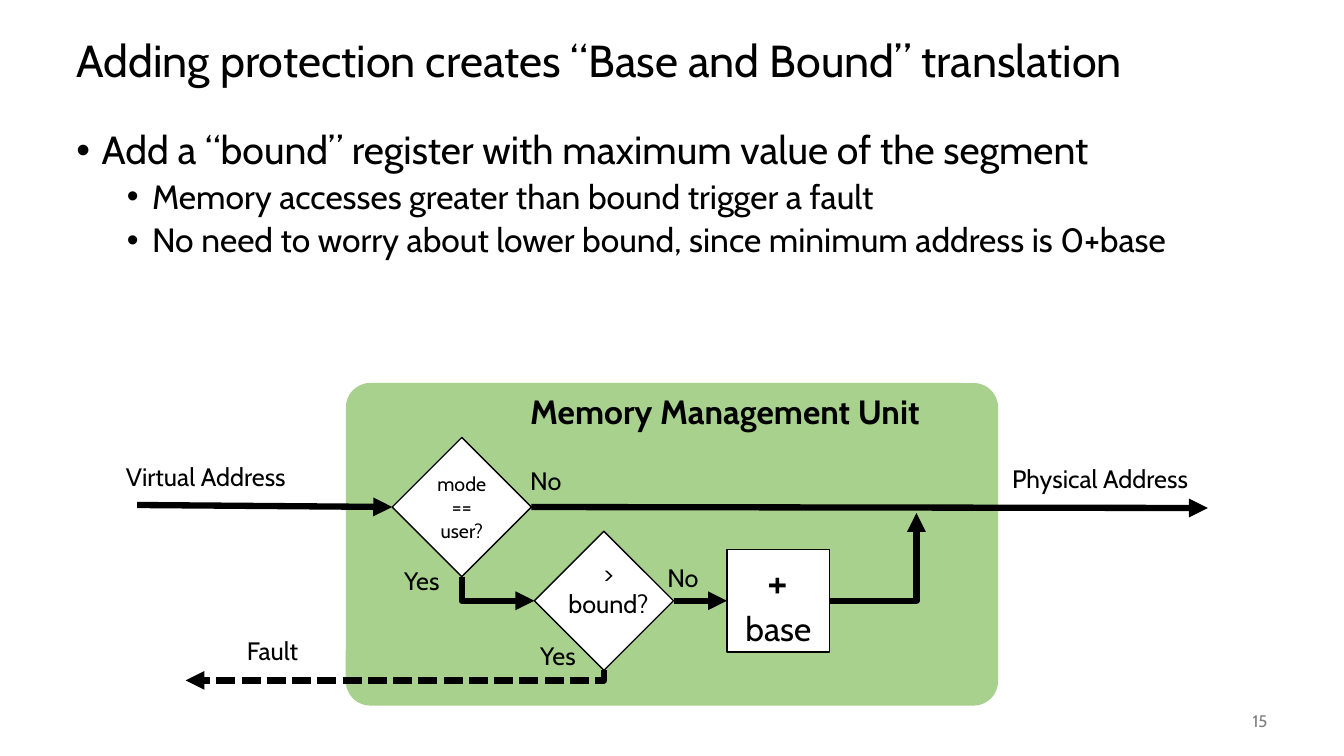
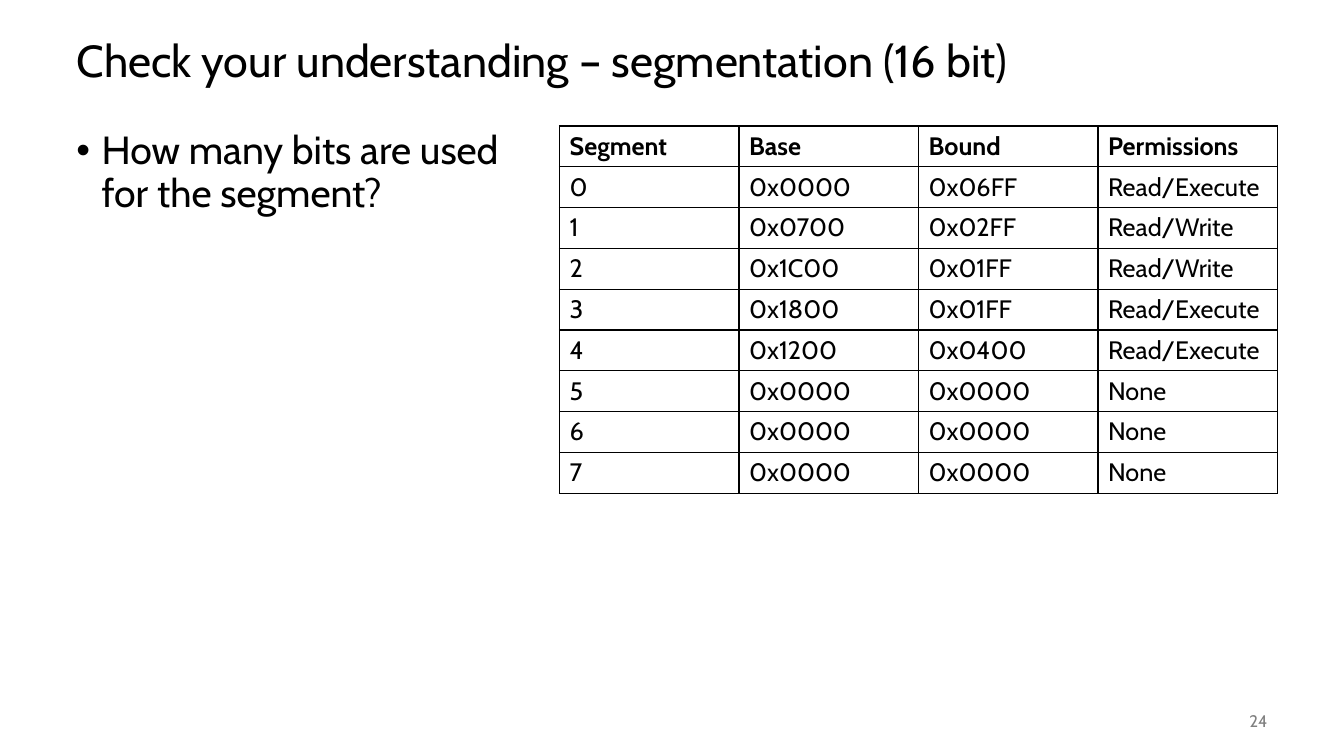
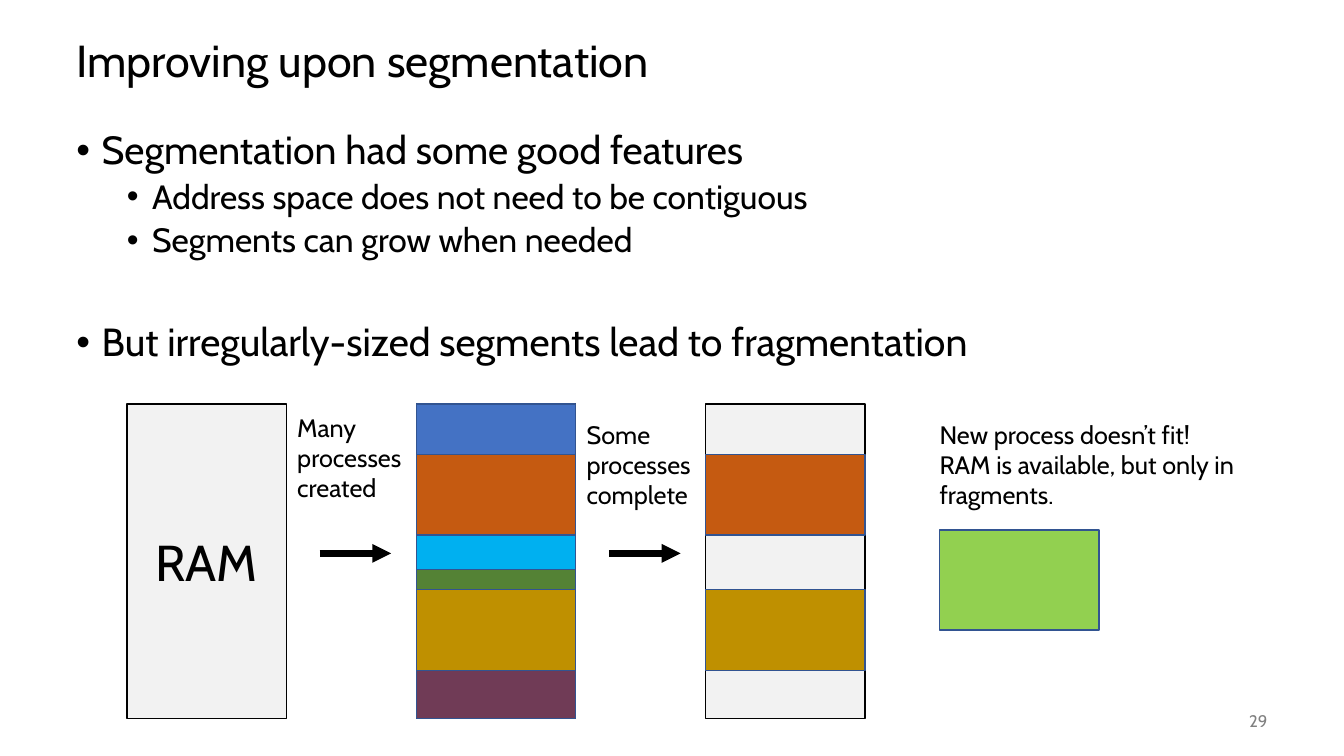
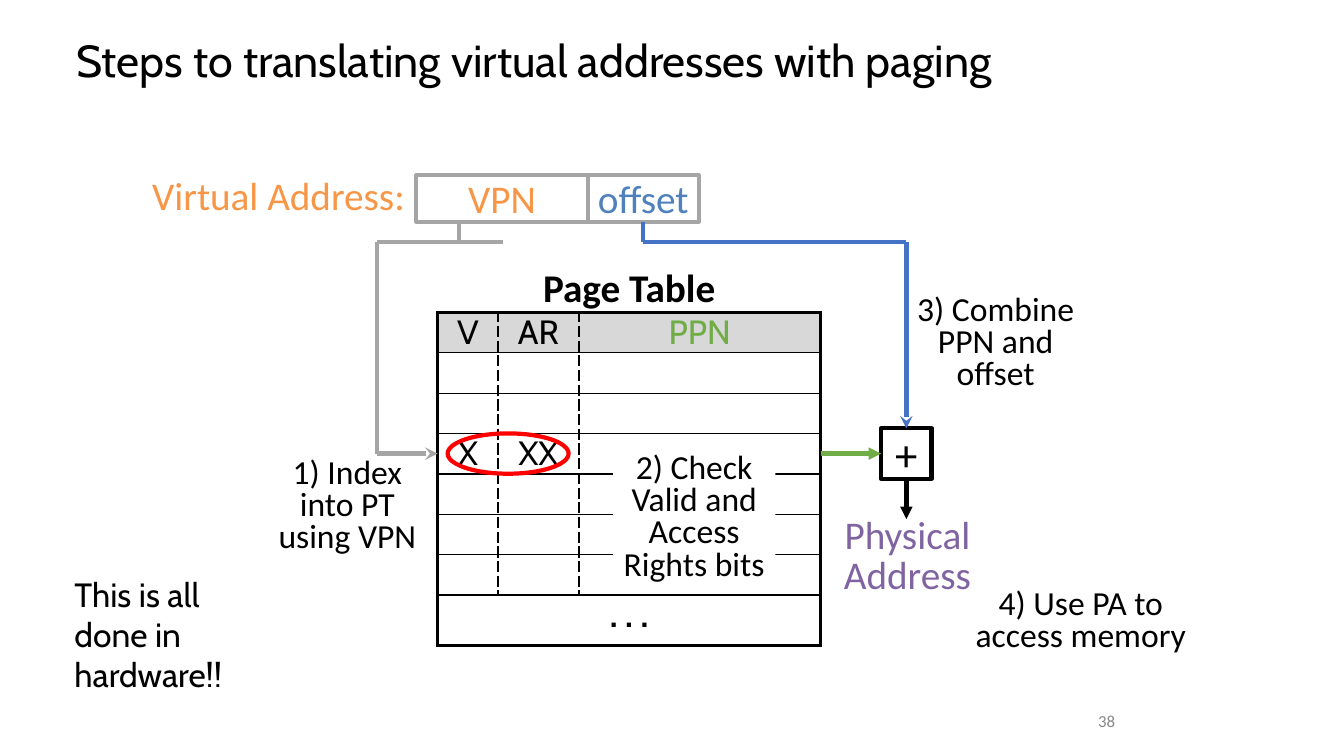
"""Build four lecture slides on memory protection, segmentation and paging."""
from lxml import etree
from pptx import Presentation
from pptx.dml.color import RGBColor
from pptx.enum.dml import MSO_LINE
from pptx.enum.shapes import MSO_CONNECTOR as CONN, MSO_SHAPE as SHAPE
from pptx.enum.text import MSO_ANCHOR as ANCHOR, PP_ALIGN as ALIGN
from pptx.oxml.ns import qn
from pptx.util import Inches, Pt

BLACK = RGBColor(0x00, 0x00, 0x00)
WHITE = RGBColor(0xFF, 0xFF, 0xFF)
NUMBER_GRAY = RGBColor(0x80, 0x80, 0x80)
LIGHT_NUMBER = RGBColor(0x88, 0x88, 0x88)
MMU_GREEN = RGBColor(0xA9, 0xD1, 0x8E)
RAM_GRAY = RGBColor(0xF2, 0xF2, 0xF2)
HEADER_GRAY = RGBColor(0xD8, 0xD8, 0xD8)
LINE_GRAY = RGBColor(0xA5, 0xA5, 0xA5)
NAVY = RGBColor(0x32, 0x54, 0x91)
BLUE = RGBColor(0x44, 0x72, 0xC4)
RUST = RGBColor(0xC5, 0x5A, 0x11)
CYAN = RGBColor(0x00, 0xB0, 0xF0)
DARK_GREEN = RGBColor(0x54, 0x82, 0x35)
GOLD = RGBColor(0xBF, 0x90, 0x00)
PLUM = RGBColor(0x70, 0x3B, 0x56)
LIME = RGBColor(0x92, 0xD0, 0x50)
PPN_GREEN = RGBColor(0x70, 0xAD, 0x47)
VPN_ORANGE = RGBColor(0xF7, 0x96, 0x46)
OFFSET_BLUE = RGBColor(0x4F, 0x81, 0xBD)
PA_PURPLE = RGBColor(0x80, 0x64, 0xA2)
RED = RGBColor(0xFF, 0x00, 0x00)

FONT = "Cabin"
ALT_FONT = "Calibri"
TOP, LEFT, BOTTOM, RIGHT = range(4)
INSETS = (0.1, 0.05, 0.1, 0.05)
TIGHT = (0.07, 0.03, 0.07, 0.03)
FIELD = (0.07, 0.1, 0.07, 0)
NO_INSETS = (0, 0, 0, 0)
STEP = dict(size=24, font=ALT_FONT, align=ALIGN.CENTER, spacing=0.8)
PAGING = dict(size=28, font=ALT_FONT, spacing=0.85, insets=TIGHT)


def write(tf, text, size=18, font=FONT, color=BLACK, bold=False,
          align=ALIGN.LEFT, spacing=None, before=0, level=None):
    """Add each line of text as a paragraph, bulleted if a level is given."""
    for line in text.split("\n"):
        first = not tf.text
        p = tf.paragraphs[0] if first else tf.add_paragraph()
        if level is not None:
            pPr = p._p.get_or_add_pPr()
            pPr.set("marL", str(Inches(0.25 + 0.5 * level)))
            pPr.set("indent", str(Inches(-0.25)))
            etree.SubElement(pPr, qn("a:buFont")).set("typeface", "Arial")
            etree.SubElement(pPr, qn("a:buChar")).set("char", "•")
            p.level = level
        p.alignment = align
        if spacing:
            p.line_spacing = spacing
        if before and not first:
            p.space_before = Pt(before)
        r = p.add_run()
        r.text = line
        r.font.size, r.font.name, r.font.bold = Pt(size), font, bold
        r.font.color.rgb = color


def frame(sp, anchor, insets):
    """Set wrapping, anchor and insets of a shape and return its text frame."""
    tf = sp.text_frame
    tf.word_wrap = True
    tf.vertical_anchor = anchor
    tf.margin_left, tf.margin_top, tf.margin_right, tf.margin_bottom = map(Inches, insets)
    return tf


def label(s, text, x, y, w, h, anchor=ANCHOR.TOP, insets=INSETS, **fmt):
    """Add a text box."""
    tf = frame(s.shapes.add_textbox(*map(Inches, (x, y, w, h))), anchor, insets)
    write(tf, text, **fmt)
    return tf


def shape(s, kind, x, y, w, h, fill=None, line=None, width=1, text=None,
          anchor=ANCHOR.MIDDLE, insets=INSETS, **fmt):
    """Add a preset shape with an optional fill, outline and centred text."""
    sp = s.shapes.add_shape(kind, *map(Inches, (x, y, w, h)))
    sp.shadow.inherit = False
    if fill is None:
        sp.fill.background()
    else:
        sp.fill.solid()
        sp.fill.fore_color.rgb = fill
    if line is None:
        sp.line.fill.background()
    else:
        sp.line.color.rgb = line
        sp.line.width = Pt(width)
    if text:
        write(frame(sp, anchor, insets), text, align=ALIGN.CENTER, **fmt)
    return sp


def connect(s, x1, y1, x2, y2, color=BLACK, width=4.5, arrow="triangle",
            dash=None, start=None, end=None, kind=CONN.STRAIGHT):
    """Add a connector, joined to (shape, side) where start or end is given."""
    c = s.shapes.add_connector(kind, *map(Inches, (x1, y1, x2, y2)))
    if start:
        c.begin_connect(*start)
    if end:
        c.end_connect(*end)
    c.line.color.rgb = color
    c.line.width = Pt(width)
    if dash:
        c.line.dash_style = dash
    spPr = c._element.spPr
    if arrow:
        etree.SubElement(spPr.find(qn("a:ln")), qn("a:tailEnd")).set("type", arrow)
    etree.SubElement(spPr, qn("a:effectLst"))
    return c


def elbow(s, x1, y1, x2, y2, down_first=False, **fmt):
    """Add an arrow with one right-angled bend."""
    turn = 0
    if down_first:
        cx, cy = (x1 + x2) / 2, (y1 + y2) / 2
        half_w, half_h = (y2 - y1) / 2, abs(x2 - x1) / 2
        turn, side = (270, -1) if x2 > x1 else (90, 1)
        x1, x2 = cx - side * half_w, cx + side * half_w
        y1, y2 = cy - half_h, cy + half_h
    spPr = connect(s, x1, y1, x2, y2, kind=CONN.ELBOW, **fmt)._element.spPr
    spPr.find(qn("a:prstGeom")).set("prst", "bentConnector2")
    spPr.find(qn("a:xfrm")).set("rot", str(turn * 60000))


def border(cell, **sides):
    """Set cell borders; each side takes (width, dash)."""
    tcPr = cell._tc.get_or_add_tcPr()
    for side in "LRTB":
        if side in sides:
            width, dash = sides[side]
            ln = etree.SubElement(tcPr, qn(f"a:ln{side}"), w=str(Pt(width)))
            fill = etree.SubElement(ln, qn("a:solidFill"))
            etree.SubElement(fill, qn("a:srgbClr")).set("val", str(BLACK))
            etree.SubElement(ln, qn("a:prstDash")).set("val", dash)


def plain_table(s, x, y, widths, heights):
    """Add a table without style bands."""
    size = sum(widths), sum(heights)
    t = s.shapes.add_table(len(heights), len(widths), *map(Inches, (x, y, *size))).table
    t.first_row = t.horz_banding = False
    for col, w in zip(t.columns, widths):
        col.width = Inches(w)
    for row, h in zip(t.rows, heights):
        row.height = Inches(h)
    return t


def new_slide(prs, title, number, bullets=(), body_width=12,
              number_box=(11.67, 1), number_font=FONT, number_color=NUMBER_GRAY):
    """Add a slide with its title, number and (level, text, space before) bullets."""
    s = prs.slides.add_slide(prs.slide_layouts[6])
    label(s, title, 0.66, 0.25, 12, 0.75, anchor=ANCHOR.MIDDLE, size=32, spacing=0.9)
    if bullets:
        box = s.shapes.add_textbox(*map(Inches, (0.66, 1.25, body_width, 5.5)))
        tf = frame(box, ANCHOR.TOP, INSETS)
        for level, text, before in bullets:
            write(tf, text, size=28 - 4 * level, spacing=0.9, before=before, level=level)
    x, w = number_box
    label(s, number, x, 6.95, w, 0.4, anchor=ANCHOR.MIDDLE, size=12,
          font=number_font, color=number_color, align=ALIGN.RIGHT)
    return s


def base_and_bound(prs):
    """Draw the memory management unit as a flow chart."""
    s = new_slide(prs, "Adding protection creates “Base and Bound” translation", "15", [
        (0, "Add a “bound” register with maximum value of the segment", 0),
        (1, "Memory accesses greater than bound trigger a fault", 5),
        (1, "No need to worry about lower bound, since minimum address is 0+base", 5)])
    mmu = shape(s, SHAPE.ROUNDED_RECTANGLE, 3.43, 3.8, 6.47, 3.2, MMU_GREEN)
    mmu.adjustments[0] = 0.076
    mode = shape(s, SHAPE.DIAMOND, 3.89, 4.34, 1.38, 1.38, WHITE, BLACK,
                 text="mode == user?", size=14)
    bound = shape(s, SHAPE.DIAMOND, 5.3, 5.27, 1.38, 1.38, WHITE, BLACK)
    base = shape(s, SHAPE.RECTANGLE, 7.21, 5.45, 1.02, 1.02, WHITE, BLACK, text="+", size=32)
    write(base.text_frame, "base", size=24, align=ALIGN.CENTER)
    connect(s, 1.36, 5.01, 3.89, 5.03, end=(mode, LEFT))
    connect(s, 5.27, 5.04, 11.98, 5.04, start=(mode, RIGHT))
    connect(s, 6.68, 5.96, 7.21, 5.96, start=(bound, RIGHT), end=(base, LEFT))
    elbow(s, 4.58, 5.72, 5.3, 5.96, down_first=True)
    elbow(s, 8.23, 5.96, 9.09, 5.09)
    elbow(s, 5.99, 6.65, 1.84, 6.75, down_first=True, dash=MSO_LINE.SQUARE_DOT)
    for text, x, y, w in [
            ("Virtual Address", 1.15, 4.53, 2.04), ("Physical Address", 9.94, 4.55, 2.04),
            ("Yes", 3.91, 5.56, 0.67), ("No", 5.16, 4.57, 0.67),
            ("No", 6.52, 5.53, 0.67), ("Yes", 5.26, 6.3, 0.67), ("Fault", 2.35, 6.25, 1.05)]:
        label(s, text, x, y, w, 0.4)
    label(s, "Memory Management Unit", 5.16, 3.83, 4.74, 0.5, size=24, bold=True)
    label(s, ">\nbound?", 5.48, 5.49, 1.11, 0.71, align=ALIGN.CENTER)


def segmentation_quiz(prs):
    """Show the segment table next to the question."""
    s = new_slide(prs, "Check your understanding – segmentation (16 bit)", "24",
                  [(0, "How many bits are used for the segment?", 0)], body_width=4.47)
    rows = [
        ("Segment", "Base", "Bound", "Permissions"),
        ("0", "0x0000", "0x06FF", "Read/Execute"),
        ("1", "0x0700", "0x02FF", "Read/Write"),
        ("2", "0x1C00", "0x01FF", "Read/Write"),
        ("3", "0x1800", "0x01FF", "Read/Execute"),
        ("4", "0x1200", "0x0400", "Read/Execute"),
        *((str(n), "0x0000", "0x0000", "None") for n in (5, 6, 7))]
    t = plain_table(s, 5.55, 1.25, [1.78] * 4, [0.405] * len(rows))
    for i, row in enumerate(rows):
        for j, text in enumerate(row):
            cell = t.cell(i, j)
            border(cell, **dict.fromkeys("LRTB", (1, "solid")))
            cell.fill.background()
            write(cell.text_frame, text, bold=i == 0)


def ram_column(s, x, blocks=(), text=None):
    """Draw RAM with (top, height, colour) blocks in it."""
    shape(s, SHAPE.RECTANGLE, x, 4.01, 1.58, 3.12, RAM_GRAY, BLACK, text=text, size=36)
    for top, h, color in blocks:
        shape(s, SHAPE.RECTANGLE, x, top, 1.58, h, color, NAVY)


def fragmentation(prs):
    """Show how RAM becomes fragmented."""
    s = new_slide(prs, "Improving upon segmentation", "29", [
        (0, "Segmentation had some good features", 0),
        (1, "Address space does not need to be contiguous", 5),
        (1, "Segments can grow when needed", 5),
        (0, "But irregularly-sized segments lead to fragmentation", 45)])
    blocks, top = [], 4.01
    for h, color in [(0.5, BLUE), (0.8, RUST), (0.34, CYAN),
                     (0.2, DARK_GREEN), (0.8, GOLD), (0.48, PLUM)]:
        blocks.append((top, h, color))
        top += h
    remaining = [b for b in blocks if b[2] in (RUST, GOLD)]
    pitch = 2.87
    ram_column(s, 1.26, text="RAM")
    ram_column(s, 1.26 + pitch, blocks)
    ram_column(s, 1.26 + 2 * pitch, remaining)
    for i, (text, y) in enumerate([("Many processes created", 4.04),
                                   ("Some processes complete", 4.11)]):
        x = i * pitch
        connect(s, 3.17 + x, 5.49, 3.88 + x, 5.49)
        label(s, text, 2.85 + x, y, 1.43, 1.01)
    shape(s, SHAPE.RECTANGLE, 9.32, 5.26, 1.58, 0.99, LIME, NAVY)
    label(s, "New process doesn’t fit!\nRAM is available, but only in fragments.",
          9.22, 4.11, 3.15, 1.01)


def page_table(s):
    """Draw the page table with dashed column rules."""
    t = plain_table(s, 4.34, 3.1, [0.6, 0.8, 2.4], [0.4] * 7 + [0.5])
    texts = {(0, 0): "V", (0, 1): "AR", (0, 2): "PPN",
             (3, 0): "X", (3, 1): "XX", (7, 0): ". . ."}
    thin, thick, dashed = (1, "solid"), (2.25, "solid"), (1.5, "lgDash")
    t.cell(7, 0).merge(t.cell(7, 2))
    for i in range(8):
        for j in range(3):
            cell = t.cell(i, j)
            sides = dict(T=thin if i else thick, B=thin if i < 7 else thick)
            if i == 7:
                sides.update(L=thick, R=thick)
            else:
                sides.update(L=dashed if j else thick, R=dashed if j < 2 else thick)
            border(cell, **sides)
            if i == 0:
                cell.fill.solid()
                cell.fill.fore_color.rgb = HEADER_GRAY
            else:
                cell.fill.background()
            if (i, j) in texts:
                cell.margin_left = cell.margin_right = 0
                cell.margin_top = cell.margin_bottom = 0
                write(cell.text_frame, texts[i, j], size=24, bold=i == 7, align=ALIGN.CENTER,
                      color=PPN_GREEN if (i, j) == (0, 2) else BLACK)


def paging_steps(prs):
    """Show the steps from a virtual to a physical address."""
    s = new_slide(prs, "Steps to translating virtual addresses with paging", "38",
                  number_box=(8.83, 2.33), number_font=ALT_FONT, number_color=LIGHT_NUMBER)
    page_table(s)
    label(s, "Virtual Address:", 1.44, 1.74, 2.67, 0.46, color=VPN_ORANGE, **PAGING)
    fields = [shape(s, SHAPE.RECTANGLE, x, 1.74, w, 0.46, line=LINE_GRAY, width=3, text=text,
                    anchor=ANCHOR.TOP, insets=FIELD, size=28, font=ALT_FONT,
                    color=color, spacing=0.75)
              for text, x, w, color in [("VPN", 4.13, 1.7, VPN_ORANGE),
                                        ("offset", 5.83, 1.1, OFFSET_BLUE)]]
    label(s, "Page Table", 4.34, 2.65, 3.8, 0.46, bold=True, align=ALIGN.CENTER, **PAGING)

    gray = dict(color=LINE_GRAY, width=3)
    connect(s, 4.55, 2.2, 4.55, 2.4, arrow=None, **gray)
    connect(s, 4.99, 2.4, 3.74, 2.4, arrow=None, **gray)
    connect(s, 3.74, 2.4, 3.74, 4.5, arrow=None, **gray)
    connect(s, 3.74, 4.5, 4.34, 4.5, arrow="stealth", **gray)
    label(s, "1) Index into PT using VPN", 2.64, 4.5, 1.61, 1.08, **STEP)

    shape(s, SHAPE.RECTANGLE, 6.08, 4.5, 1.61, 1.3, WHITE, anchor=ANCHOR.TOP, insets=NO_INSETS,
          text="2) Check Valid and Access Rights bits", size=24, font=ALT_FONT, spacing=0.8)
    shape(s, SHAPE.OVAL, 4.44, 4.3, 1.2, 0.4, line=RED, width=3)

    plus = shape(s, SHAPE.RECTANGLE, 8.74, 4.25, 0.5, 0.5, line=BLACK, width=3,
                 text="+", insets=NO_INSETS, size=32, font=ALT_FONT)
    connect(s, 8.14, 4.5, 8.74, 4.5, PPN_GREEN, 3, end=(plus, LEFT))
    connect(s, 8.99, 4.75, 8.99, 5.15, BLACK, 3, start=(plus, BOTTOM))
    connect(s, 6.38, 2.2, 6.38, 2.4, BLUE, 3, arrow=None, start=(fields[1], BOTTOM))
    connect(s, 6.38, 2.4, 8.99, 2.4, BLUE, 3, arrow=None)
    connect(s, 8.99, 2.4, 8.99, 4.25, BLUE, 3, arrow="stealth", end=(plus, TOP))
    label(s, "3) Combine PPN and offset", 8.99, 2.88, 1.77, 1.08, **STEP)
    label(s, "Physical\nAddress", 8.29, 5.1, 1.42, 0.86, color=PA_PURPLE,
          align=ALIGN.CENTER, **PAGING)
    label(s, "4) Use PA to access memory", 9.47, 5.8, 2.5, 1.07, **STEP)
    label(s, "This is all done in hardware!!", 0.64, 5.64, 1.94, 1.31, size=24)


def main():
    """Build and save the presentation."""
    prs = Presentation()
    prs.slide_width, prs.slide_height = Inches(13.33), Inches(7.5)
    base_and_bound(prs)
    segmentation_quiz(prs)
    fragmentation(prs)
    paging_steps(prs)
    prs.save("out.pptx")


if __name__ == "__main__":
    main()
